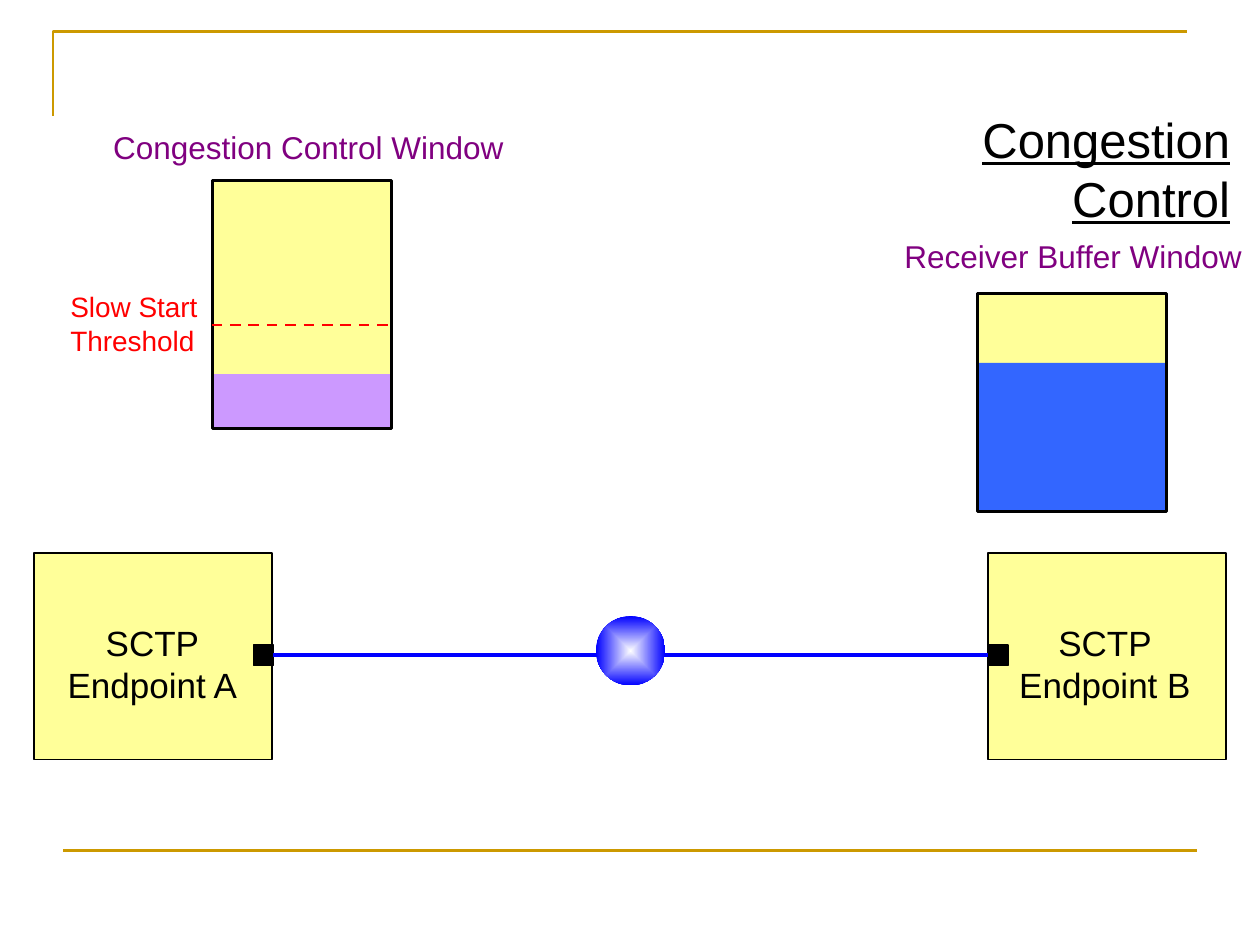
from dataclasses import dataclass
from typing import NamedTuple

from lxml.etree import SubElement
from pptx import Presentation
from pptx.dml.color import RGBColor as Rgb
from pptx.enum.dml import MSO_LINE_DASH_STYLE as Dash
from pptx.enum.shapes import MSO_CONNECTOR as Conn, MSO_SHAPE as Kind
from pptx.enum.text import MSO_AUTO_SIZE as Fit, PP_ALIGN as Align
from pptx.oxml.ns import qn
from pptx.util import Inches, Pt


@dataclass(frozen=True)
class Theme:
    font: str = "Arial"
    gold: str = "CC9900"
    plum: str = "800080"
    lilac: str = "CC99FF"
    cream: str = "FFFF99"
    blue: str = "3366FF"
    link: str = "0000FF"
    red: str = "FF0000"
    black: str = "000000"
    white: str = "FFFFFF"
    title: int = 28
    body: int = 20
    label: int = 18
    note: int = 16


class Box(NamedTuple):
    """Place in grid columns and rows."""
    col: float
    row: float
    wide: float
    high: float


class Window(NamedTuple):
    box: Box
    level: float  # height of the filled part, in rows
    color: str
    edge: float
    name: str
    label: Box


class Node(NamedTuple):
    name: str
    box: Box
    port: float  # column of the port
    text: float  # column of the text


# Slide and grid: 100 columns by 75 rows
COLS, ROWS = 100, 75
T = Theme()
deck = Presentation()
deck.slide_width, deck.slide_height = Inches(10), Inches(7.5)
slide = deck.slides.add_slide(deck.slide_layouts[6])
shapes = slide.shapes


def across(col: float) -> int:
    return round(deck.slide_width * col / COLS)


def down(row: float) -> int:
    return round(deck.slide_height * row / ROWS)


def place(box: Box) -> tuple[int, int, int, int]:
    return across(box.col), down(box.row), across(box.wide), down(box.high)


def style(shape, fill: str | None, edge: str | None, width: float) -> None:
    shape.shadow.inherit = False
    if fill:
        shape.fill.solid()
        shape.fill.fore_color.rgb = Rgb.from_string(fill)
    else:
        shape.fill.background()
    if edge:
        shape.line.color.rgb = Rgb.from_string(edge)
        shape.line.width = Pt(width)
    else:
        shape.line.fill.background()


def draw(box: Box, fill: str | None = None, edge: str | None = None,
         width: float = 0.75, kind: Kind = Kind.RECTANGLE):
    shape = shapes.add_shape(kind, *place(box))
    style(shape, fill, edge, width)
    return shape


def rule(start: tuple[float, float], end: tuple[float, float], color: str,
         width: float, dash: Dash | None = None):
    line = shapes.add_connector(Conn.STRAIGHT, across(start[0]), down(start[1]),
                                across(end[0]), down(end[1]))
    line.line.color.rgb = Rgb.from_string(color)
    line.line.width = Pt(width)
    if dash:
        line.line.dash_style = dash
    SubElement(line._element.spPr, qn("a:effectLst"))
    return line


def write(text: str, box: Box, *, size: int, color: str = T.black,
          align: Align = Align.LEFT, under: bool = False) -> None:
    frame = shapes.add_textbox(*place(box)).text_frame
    frame.word_wrap = False
    frame.auto_size = Fit.SHAPE_TO_FIT_TEXT
    frame.text = text
    for para in frame.paragraphs:
        para.alignment = align
        font = para.runs[0].font
        font.name, font.size = T.font, Pt(size)
        font.color.rgb = Rgb.from_string(color)
        if under:
            font.underline = True


def glow(shape, inner: str, outer: str) -> None:
    """Gradient that runs from the centre to the rim."""
    shape.fill.gradient()
    for stop, color in zip(shape.fill.gradient_stops, (inner, outer)):
        stop.color.rgb = Rgb.from_string(color)
    grad = shape._element.spPr.find(qn("a:gradFill"))
    grad.remove(grad.find(qn("a:lin")))
    way = SubElement(grad, qn("a:path"), {"path": "rect"})
    SubElement(way, qn("a:fillToRect"), dict.fromkeys("ltrb", "50000"))


def gauge(win: Window) -> None:
    box = win.box
    base = box.row + box.high
    draw(box, T.cream)
    draw(box._replace(row=base - win.level, high=win.level), win.color)
    draw(box, edge=T.black, width=win.edge)
    write(win.name, win.label, size=T.label, color=T.plum)


def station(node: Node):
    """Draw an endpoint and return its port."""
    draw(node.box, T.cream, T.black)
    write(f"SCTP\n{node.name}", Box(node.text, 48.8, 15.6, 7.7),
          size=T.body, align=Align.CENTER)
    return draw(Box(node.port, 51.2, 1.6, 1.6), T.black, T.black)


# Frame lines
pen = shapes.build_freeform(across(4.2), down(9.2))
pen.add_line_segments([(across(4.2), down(2.5)), (across(94.2), down(2.5))],
                      close=False)
style(pen.convert_to_shape(), None, T.gold, 1.5)
rule((5, 67.5), (95, 67.5), T.gold, 1.5)

# Title
write("Congestion Control", Box(63.4, 8.2, 35.2, 5.7),
      size=T.title, align=Align.RIGHT, under=True)

# Endpoints, the link between their ports, and the network
left, right = [station(node) for node in (
    Node("Endpoint A", Box(2.7, 43.9, 18.9, 16.4), 20.1, 4.3),
    Node("Endpoint B", Box(78.4, 43.9, 18.9, 16.4), 78.4, 79.9),
)]
link = rule((21.7, 52), (78.4, 52), T.link, 2)
link.begin_connect(left, 3)
link.end_connect(right, 1)
glow(draw(Box(47.3, 48.9, 5.5, 5.5), T.link, kind=Kind.OVAL), T.white, T.link)

# Windows
for win in (
    Window(Box(16.9, 14.3, 14.2, 19.7), 4.3, T.lilac, 1.75,
           "Congestion Control Window", Box(8, 9.7, 33, 4)),
    Window(Box(77.6, 23.3, 15, 17.3), 11.8, T.blue, 2,
           "Receiver Buffer Window", Box(70.8, 18.3, 28.8, 4)),
):
    gauge(win)

# Threshold
write("Slow Start\nThreshold", Box(4.6, 22.5, 12.1, 6.4),
      size=T.note, color=T.red)
rule((16.8, 25.8), (31, 25.8), T.red, 1.5, Dash.DASH)

deck.save("out.pptx")
